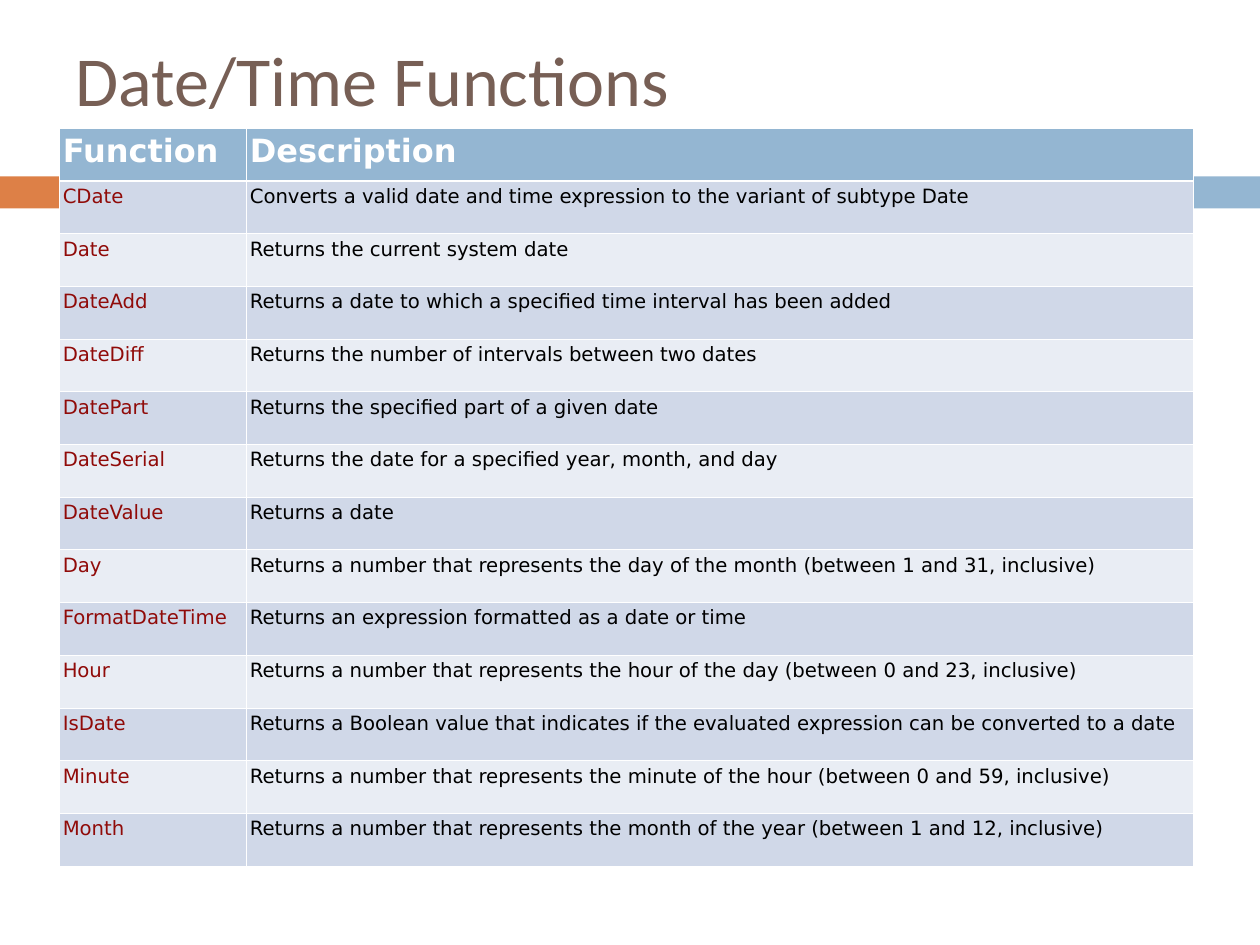
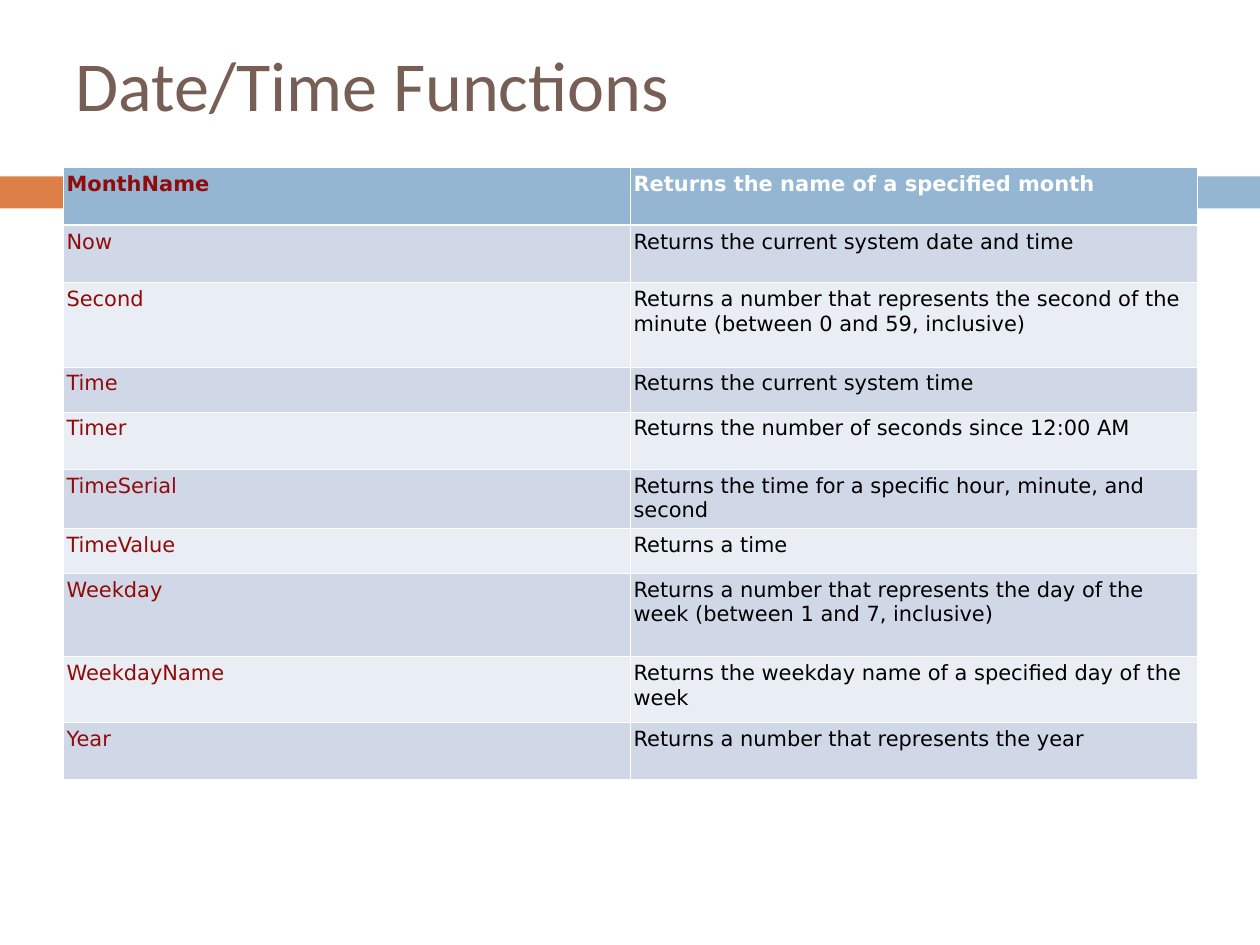
from collections import namedtuple

from lxml import etree
from pptx import Presentation
from pptx import util as u
from pptx.dml.color import RGBColor
from pptx.enum import shapes, text
from pptx.oxml import ns

COLORS = {
    "orange": "DD8047", "blue": "94B6D2", "brown": "775F55", "red": "900B09",
    "black": "000000", "white": "FFFFFF", "dark_row": "D0D8E8", "light_row": "E9EDF4",
}
PAGE_WIDTH, PAGE_HEIGHT = u.Inches(14.22), u.Inches(10.66)
TITLE = "Date/Time Functions"
TITLE_STYLE = {"size": u.Pt(57), "name": "Calibri"}
THIN, THICK = u.Pt(0.45), u.Pt(1.47)

# Box values are percentages of the page width and height.
Box = namedtuple("Box", "left top width height")
BANDS = {"orange": Box(0, 18.67, 5.83, 3.38), "blue": Box(6.47, 18.67, 93.53, 3.38)}

FIRST_PART = [
    ("Function", "Description"),
    ("CDate", "Converts a valid date and time expression to the variant of subtype Date"),
    ("Date", "Returns the current system date"),
    ("DateAdd", "Returns a date to which a specified time interval has been added"),
    ("DateDiff", "Returns the number of intervals between two dates"),
    ("DatePart", "Returns the specified part of a given date"),
    ("DateSerial", "Returns the date for a specified year, month, and day"),
    ("DateValue", "Returns a date"),
    ("Day", "Returns a number that represents the day of the month (between 1 and 31, inclusive)"),
    ("FormatDateTime", "Returns an expression formatted as a date or time"),
    ("Hour", "Returns a number that represents the hour of the day (between 0 and 23, inclusive)"),
    ("IsDate", "Returns a Boolean value that indicates if the evaluated expression "
               "can be converted to a date"),
    ("Minute", "Returns a number that represents the minute of the hour (between 0 and 59, inclusive)"),
    ("Month", "Returns a number that represents the month of the year (between 1 and 12, inclusive)"),
]
SECOND_PART = [
    ("MonthName", "Returns the name of a specified month"),
    ("Now", "Returns the current system date and time"),
    ("Second", "Returns a number that represents the second of the minute "
               "(between 0 and 59, inclusive)"),
    ("Time", "Returns the current system time"),
    ("Timer", "Returns the number of seconds since 12:00 AM"),
    ("TimeSerial", "Returns the time for a specific hour, minute, and second"),
    ("TimeValue", "Returns a time"),
    ("Weekday", "Returns a number that represents the day of the week (between 1 and 7, inclusive)"),
    ("WeekdayName", "Returns the weekday name of a specified day of the week"),
    ("Year", "Returns a number that represents the year"),
]
SLIDES = [
    {"title_box": Box(5, 4, 90, 8.5),
     "table": {"box": Box(4.7, 13.55, 90, 78.1), "rows": FIRST_PART,
               "column_shares": (16.5, 83.5), "row_shares": [1] * len(FIRST_PART),
               "header_colors": ("white", "white"), "header_size": 26, "body_size": 16}},
    {"title_box": Box(5, 4, 90, 9.6),
     "table": {"box": Box(5, 17.75, 90, 64.6), "rows": SECOND_PART,
               "column_shares": (50, 50),
               "row_shares": (65, 65, 95, 51, 65, 65, 51, 94, 74, 65),
               "header_colors": ("red", "white"), "header_size": 17, "body_size": 17}},
]


def rgb(color):
    return RGBColor.from_string(COLORS[color])


def place(box):
    """Turn percentages of the page into lengths."""
    return (round(PAGE_WIDTH * box.left / 100), round(PAGE_HEIGHT * box.top / 100),
            round(PAGE_WIDTH * box.width / 100), round(PAGE_HEIGHT * box.height / 100))


def set_all(target, values):
    for name, value in values.items():
        setattr(target, name, value)


def write(frame, words, color, style):
    span = frame.paragraphs[0].add_run()
    span.text = words
    set_all(span.font, style)
    span.font.color.rgb = rgb(color)


def add_bands(page):
    for color, box in BANDS.items():
        band = page.shapes.add_shape(shapes.MSO_SHAPE.RECTANGLE, *place(box))
        band.shadow.inherit = False
        band.fill.solid()
        band.fill.fore_color.rgb = rgb(color)
        band.line.fill.background()


def add_title(page, box):
    frame = page.shapes.add_textbox(*place(box)).text_frame
    set_all(frame, {
        "word_wrap": True, "vertical_anchor": text.MSO_ANCHOR.MIDDLE,
        "margin_left": u.Inches(0.14), "margin_right": u.Inches(0.14),
        "margin_top": u.Inches(0.07), "margin_bottom": u.Inches(0.07),
    })
    write(frame, TITLE, "brown", TITLE_STYLE)


def add_borders(cell, widths):
    """Add white left, right, top and bottom lines; call before filling the cell."""
    properties = cell._tc.get_or_add_tcPr()
    for side, width in zip("LRTB", widths):
        line = etree.SubElement(properties, ns.qn("a:ln" + side), w=str(int(width)))
        fill = etree.SubElement(line, ns.qn("a:solidFill"))
        etree.SubElement(fill, ns.qn("a:srgbClr"), val=COLORS["white"])


def share_out(parts, total, shares, name):
    for part, share in zip(parts, shares):
        setattr(part, name, round(total * share / sum(shares)))


def add_function_table(page, box, rows, column_shares, row_shares,
                       header_colors, header_size, body_size):
    left, top, width, height = place(box)
    table = page.shapes.add_table(len(rows), 2, left, top, width, height).table
    table.horz_banding = False
    share_out(table.columns, width, column_shares, "width")
    share_out(table.rows, height, row_shares, "height")
    for row, entry in enumerate(rows):
        header = row == 0
        fill = "blue" if header else ("light_row", "dark_row")[row % 2]
        text_colors = header_colors if header else ("red", "black")
        style = {"name": "DejaVu Sans", "bold": header,
                 "size": u.Pt(header_size if header else body_size)}
        widths = (THIN, THIN, THICK if row == 1 else THIN, THICK if header else THIN)
        for column, words in enumerate(entry):
            cell = table.cell(row, column)
            set_all(cell, {
                "margin_left": u.Inches(0.04), "margin_right": u.Inches(0.04),
                "margin_top": u.Inches(0.05), "margin_bottom": u.Inches(0.05),
            })
            add_borders(cell, widths)
            cell.fill.solid()
            cell.fill.fore_color.rgb = rgb(fill)
            write(cell.text_frame, words, text_colors[column], style)


def main():
    deck = Presentation()
    set_all(deck, {"slide_width": PAGE_WIDTH, "slide_height": PAGE_HEIGHT})
    for content in SLIDES:
        page = deck.slides.add_slide(deck.slide_layouts[6])
        add_bands(page)
        add_title(page, content["title_box"])
        add_function_table(page, **content["table"])
    deck.save("out.pptx")


if __name__ == "__main__":
    main()
